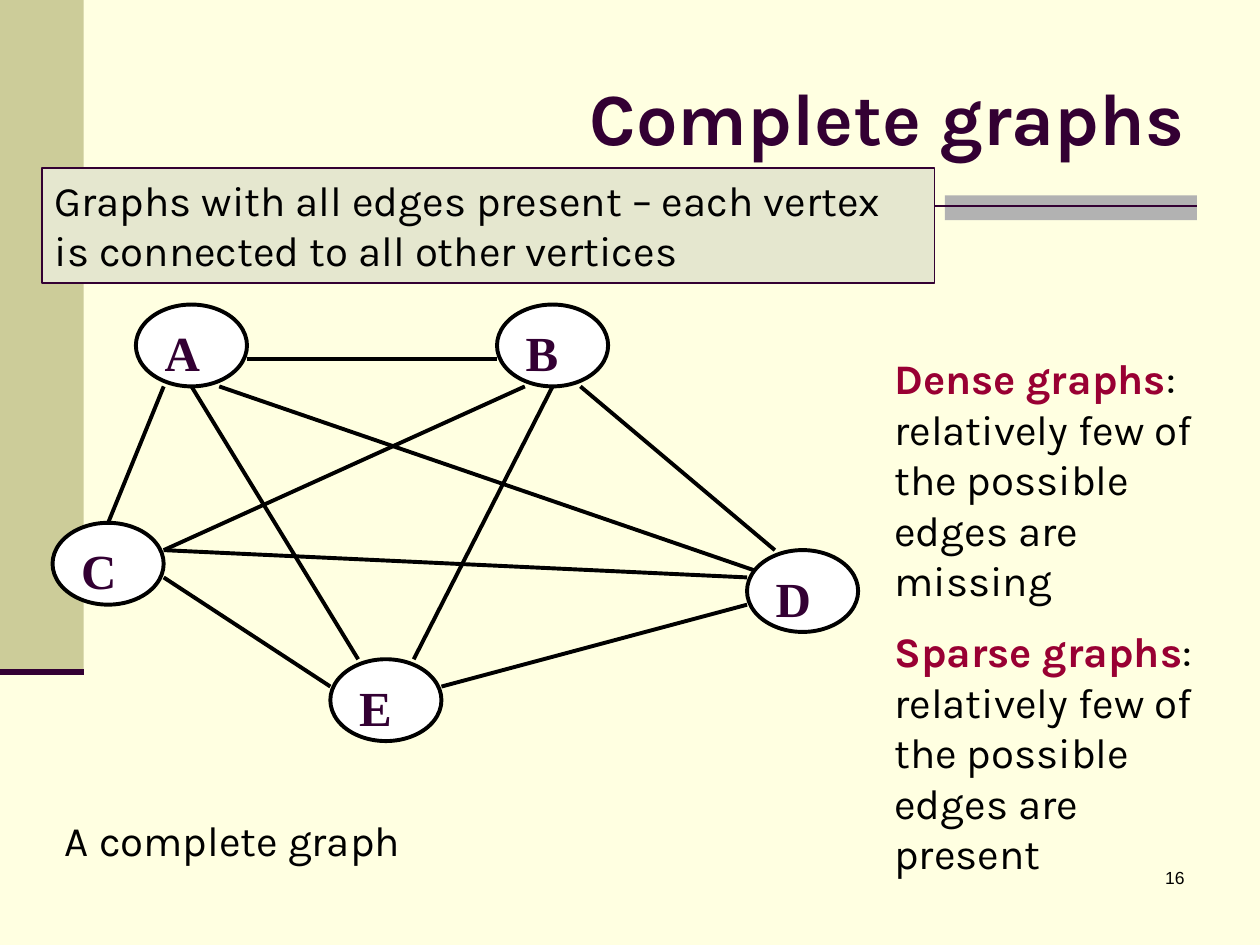
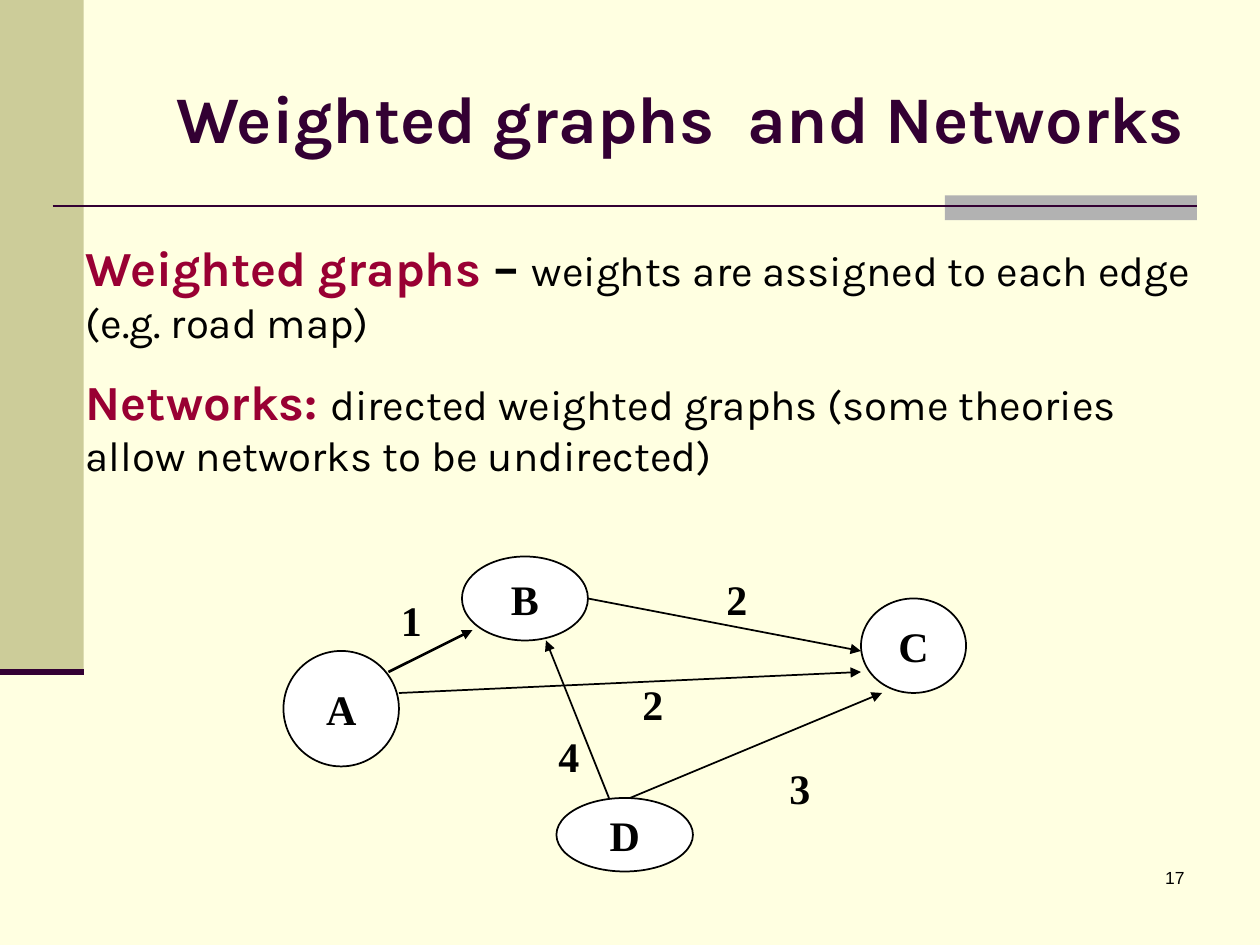
import pptx
import pptx.util
import pptx.dml.color
import pptx.enum.shapes
import pptx.enum.text
import pptx.oxml
import pptx.oxml.ns

Cm = pptx.util.Cm
Pt = pptx.util.Pt
RGB = pptx.dml.color.RGBColor
SHAPE = pptx.enum.shapes.MSO_SHAPE
ALIGN = pptx.enum.text.PP_ALIGN
ANCHOR = pptx.enum.text.MSO_ANCHOR

CREAM = RGB(0xFF, 0xFF, 0xE1)
KHAKI = RGB(0xCC, 0xCC, 0x99)
PALE_KHAKI = RGB(0xE5, 0xE7, 0xCF)
GREY = RGB(0xB2, 0xB2, 0xB2)
PLUM = RGB(0x33, 0x00, 0x33)
CRIMSON = RGB(0x99, 0x00, 0x33)
BLACK = RGB(0, 0, 0)
WHITE = RGB(0xFF, 0xFF, 0xFF)

BODY_FONT = "Karla"
GRAPH_FONT = "Times New Roman"
NUMBER_FONT = "Arial"

COMPLETE_DEFINITION = "Graphs with all edges present – each vertex is connected to all other vertices "
COMPLETE_CAPTION = "A complete graph"
DENSITY_TERMS = [
    [("Dense graphs", 24, CRIMSON, True),
     (": relatively few of the possible edges are missing", 24, BLACK, False)],
    [("Sparse graphs", 24, CRIMSON, True),
     (": relatively few of the possible edges are present", 24, BLACK, False)],
]
WEIGHT_TERMS = [
    [("Weighted graphs", 28, CRIMSON, True), (" – ", 28, BLACK, True),
     ("weights are assigned to each edge (e.g. road map)", 24, BLACK, False)],
    [("Networks: ", 28, CRIMSON, True),
     ("directed weighted graphs (some theories allow networks to be undirected) ", 24, BLACK, False)],
]

COMPLETE_ORIGIN = (1.06, 6.14)
COMPLETE_STEP = (0.56, 0.55)
COMPLETE_VERTICES = {
    "A": (3, 0, 4, 3), "B": (16, 0, 4, 3), "C": (0, 8, 4, 3),
    "D": (25, 9, 4, 3), "E": (10, 13, 4, 3),
}
COMPLETE_EDGES = [
    ((6, 3), (26, 10)), ((7, 2), (16, 2)), ((4, 3), (2, 8)), ((4, 10), (10, 14)),
    ((4, 9), (17, 3)), ((4, 9), (25, 10)), ((19, 3), (26, 9)), ((14, 14), (25, 11)),
    ((5, 3), (11, 13)), ((18, 3), (13, 13)),
]

NETWORK_ORIGIN = (0, 0)
NETWORK_STEP = (2.54 / 12, 2.54 / 12)
NETWORK_VERTICES = {
    "A": (27, 62, 11, 11), "B": (44, 53, 12, 8),
    "D": (53, 76, 13, 7), "C": (82, 57, 10, 9),
}
NETWORK_EDGES = [
    ((37, 64), (45, 60), 1.5), ((38, 66), (82, 64), 1), ((56, 57), (82, 62), 1),
    ((58, 76), (52, 61), 1), ((60, 76), (84, 66), 1),
]
NETWORK_WEIGHTS = [
    ("3", (74, 72, 6, 6)), ("2", (60, 64, 5, 6)), ("4", (52, 69, 5, 6)),
    ("1", (37, 56, 4, 6)), ("2", (68, 54, 4, 6)),
]


def write(frame, paragraphs, font=BODY_FONT, align=ALIGN.LEFT, anchor=ANCHOR.TOP, wrap=True):
    frame.word_wrap = wrap
    frame.vertical_anchor = anchor
    frame.auto_size = pptx.enum.text.MSO_AUTO_SIZE.NONE
    for index, runs in enumerate(paragraphs):
        paragraph = frame.add_paragraph() if index else frame.paragraphs[0]
        paragraph.alignment = align
        paragraph.space_before = Pt(runs[0][1] / 2 if index else 0)
        for text, size, color, bold in runs:
            run = paragraph.add_run()
            run.text = text
            run.font.name = font
            run.font.size = Pt(size)
            run.font.bold = bold
            run.font.color.rgb = color


def add_text(slide, box, paragraphs, **style):
    write(slide.shapes.add_textbox(*map(Cm, box)).text_frame, paragraphs, **style)


def add_panel(slide, kind, box, fill, line=None, width=1):
    panel = slide.shapes.add_shape(kind, *map(Cm, box))
    panel.shadow.inherit = False
    panel.fill.solid()
    panel.fill.fore_color.rgb = fill
    if line is None:
        panel.line.fill.background()
    else:
        panel.line.color.rgb = line
        panel.line.width = Pt(width)
    return panel


def add_line(slide, start, end, color, width, arrow=False):
    line = slide.shapes.add_connector(
        pptx.enum.shapes.MSO_CONNECTOR.STRAIGHT, *map(Cm, (*start, *end)))
    line.line.color.rgb = color
    line.line.width = Pt(width)
    properties = line._element.spPr
    if arrow:
        head = pptx.oxml.parse_xml(
            '<a:tailEnd %s type="triangle"/>' % pptx.oxml.ns.nsdecls("a"))
        line.line._get_or_add_ln().append(head)
    properties.append(pptx.oxml.parse_xml('<a:effectLst %s/>' % pptx.oxml.ns.nsdecls("a")))


def on_grid(cell, origin, step):
    x, y = (o + c * s for o, c, s in zip(origin, cell, step))
    return (x, y, *(c * s for c, s in zip(cell[2:], step)))


def add_page(prs, title, title_size, number):
    slide = prs.slides.add_slide(prs.slide_layouts[5])
    add_panel(slide, SHAPE.RECTANGLE, (0, 0, 1.69, 13.55), KHAKI)
    add_panel(slide, SHAPE.RECTANGLE, (19.05, 3.94, 5.08, 0.5), GREY)
    add_line(slide, (1.06, 4.15), (24.13, 4.15), PLUM, 1.5)
    add_line(slide, (0, 13.55), (1.69, 13.55), PLUM, 3.5)
    add_text(slide, (18.84, 17.36, 5.29, 1.27),
             [[(str(number), 10, BLACK, False)]], font=NUMBER_FONT, align=ALIGN.RIGHT)
    heading = slide.shapes.title
    heading.left, heading.top, heading.width, heading.height = map(Cm, (2.54, 0.76, 21.59, 3.18))
    write(heading.text_frame, [[(title, title_size, PLUM, True)]],
          align=ALIGN.RIGHT, anchor=ANCHOR.MIDDLE)
    return slide


def add_vertices(slide, vertices, origin, step, line_width, size, color, **style):
    for name, cell in vertices.items():
        vertex = add_panel(slide, SHAPE.OVAL, on_grid(cell, origin, step), WHITE, BLACK, line_width)
        write(vertex.text_frame, [[(name, size, color, True)]], font=GRAPH_FONT, **style)


prs = pptx.Presentation()
prs.slide_width, prs.slide_height = Cm(25.4), Cm(19.05)
prs.slide_master.background.fill.solid()
prs.slide_master.background.fill.fore_color.rgb = CREAM

complete = add_page(prs, "Complete graphs", 42, 16)
definition = add_panel(complete, SHAPE.RECTANGLE, (0.85, 3.39, 17.99, 2.31), PALE_KHAKI, PLUM)
write(definition.text_frame, [[(COMPLETE_DEFINITION, 24, BLACK, False)]])
add_text(complete, (17.78, 6.99, 7.2, 10.9), DENSITY_TERMS)
for start, end in COMPLETE_EDGES:
    add_line(complete, on_grid(start, COMPLETE_ORIGIN, COMPLETE_STEP),
             on_grid(end, COMPLETE_ORIGIN, COMPLETE_STEP), BLACK, 2.25)
add_vertices(complete, COMPLETE_VERTICES, COMPLETE_ORIGIN, COMPLETE_STEP, 2.25, 28, PLUM)
add_text(complete, (1.06, 16.3, 7.62, 1.27), [[(COMPLETE_CAPTION, 24, BLACK, False)]])

network = add_page(prs, "Weighted graphs  and Networks", 38, 17)
add_text(network, (1.48, 4.66, 22.86, 5.26), WEIGHT_TERMS)
add_vertices(network, NETWORK_VERTICES, NETWORK_ORIGIN, NETWORK_STEP, 1, 24, BLACK,
             align=ALIGN.CENTER, anchor=ANCHOR.MIDDLE, wrap=False)
for start, end, width in NETWORK_EDGES:
    add_line(network, on_grid(start, NETWORK_ORIGIN, NETWORK_STEP),
             on_grid(end, NETWORK_ORIGIN, NETWORK_STEP), BLACK, width, arrow=True)
for weight, cell in NETWORK_WEIGHTS:
    add_text(network, on_grid(cell, NETWORK_ORIGIN, NETWORK_STEP),
             [[(weight, 24, BLACK, True)]], font=GRAPH_FONT)

prs.save("out.pptx")
